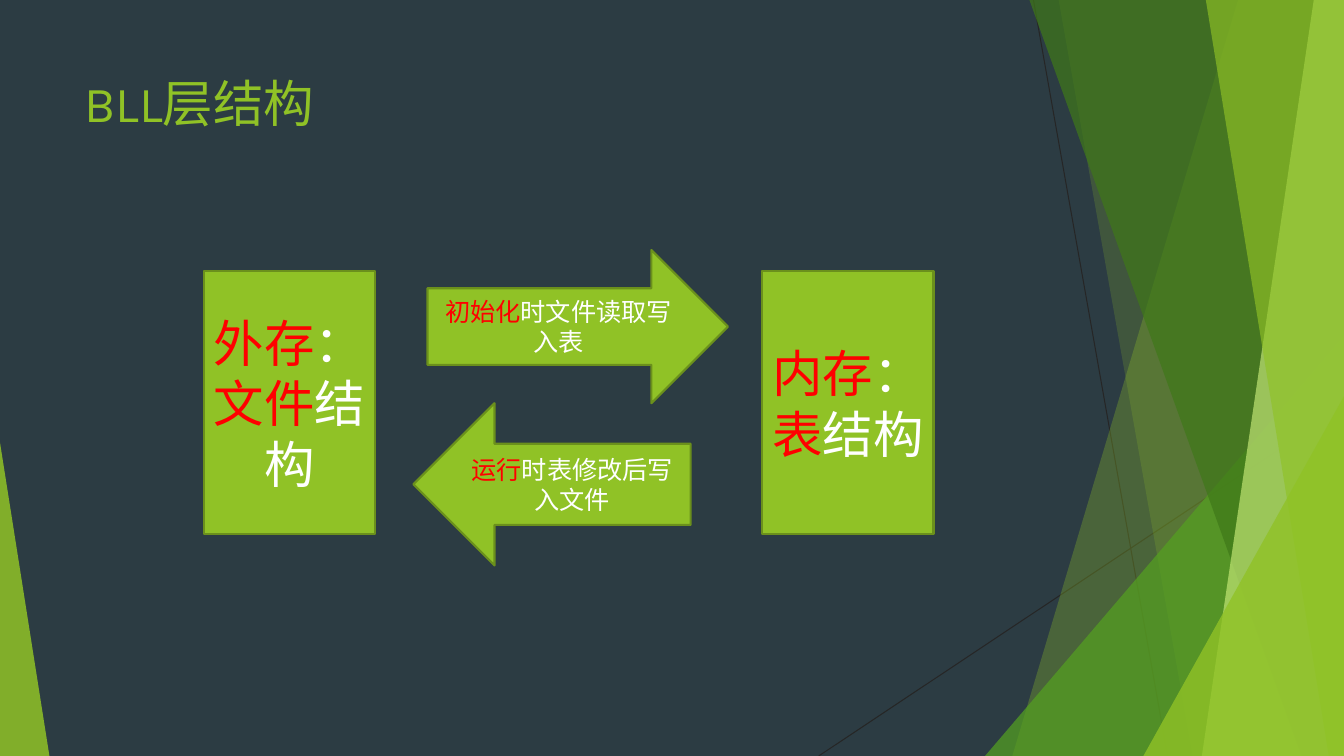
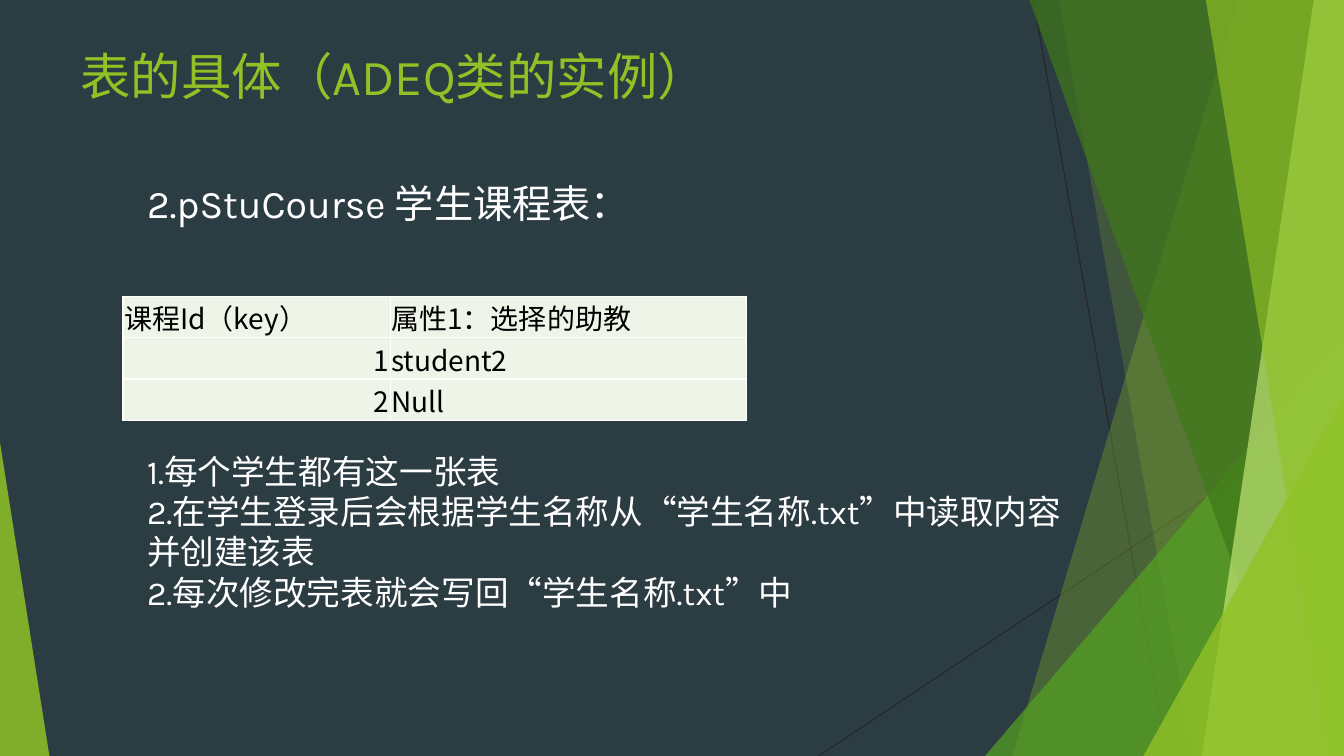
from lxml import etree
from pptx import Presentation
from pptx.dml.color import RGBColor
from pptx.enum.lang import MSO_LANGUAGE_ID as Lang
from pptx.enum.shapes import MSO_CONNECTOR, MSO_SHAPE as Shape
from pptx.enum.text import MSO_ANCHOR as Anchor, PP_ALIGN as Align
from pptx.oxml.ns import qn
from pptx.util import Inches, Pt

COLORS = {
    "background": "2C3C43", "hairline": "262626", "lime": "90C226",
    "green": "54A021", "dark": "3F7819", "pale": "C0E474",
    "edge": "6B901C", "red": "FF0000", "white": "FFFFFF",
    "black": "000000", "cell": "EEF4E8",
}
RGB = {name: RGBColor.from_string(value) for name, value in COLORS.items()}
LATIN, CJK = "Karla", "Noto Sans CJK SC"
WIDTH, HEIGHT = 13.33, 7.5

# Facets of the backdrop, back to front
# Bands run to the right edge: top x, bottom x, colour, opacity
# Triangles: left, top, width, apex, colour, opacity
HAIRLINES = [(10.25, 0, 11.58, HEIGHT), (WIDTH, 4.03, 8.12, HEIGHT)]
FACETS = [
    (12.28, 10.04, "lime", 30),
    (10.5, 11.83, "lime", 20),
    (9.77, 3.33, 3.56, 1, "green", 72),
    (10.21, 12.91, "dark", 70),
    (13.03, 11.92, "pale", 70),
    (11.96, 13.18, "lime", 65),
    (11.34, 3.93, 1.99, 1, "lime", 80),
    (0, 4.39, 0.49, 0, "lime", 85),
]


def write(frame, paragraphs, size, color="white", align=Align.LEFT, font=LATIN):
    """Each paragraph is a list of (text, colour) runs or a plain string."""
    frame.word_wrap = True
    for i, runs in enumerate(paragraphs):
        paragraph = frame.paragraphs[0] if i == 0 else frame.add_paragraph()
        paragraph.alignment = align
        paragraph.font.name = font
        paragraph.font.size = Pt(size)
        paragraph.font.color.rgb = RGB[color]
        for text, tint in [(runs, color)] if isinstance(runs, str) else runs:
            run = paragraph.add_run()
            run.text = text
            run.font.language_id = Lang.SIMPLIFIED_CHINESE
            if tint != color:
                run.font.color.rgb = RGB[tint]


def add_themed_slide(prs, title, left, top):
    slide = prs.slides.add_slide(prs.slide_layouts[6])
    slide.background.fill.solid()
    slide.background.fill.fore_color.rgb = RGB["background"]
    for ends in HAIRLINES:
        hairline = slide.shapes.add_connector(
            MSO_CONNECTOR.STRAIGHT, *[Inches(v) for v in ends])
        hairline.line.color.rgb = RGB["hairline"]
        hairline.line.width = Pt(0.75)
        etree.SubElement(hairline.element.spPr, qn("a:effectLst"))
    for *geometry, color, opacity in FACETS:
        if len(geometry) == 2:
            top_x, bottom_x = geometry
            outline = slide.shapes.build_freeform(Inches(top_x), 0)
            outline.add_line_segments([
                (Inches(x), Inches(y)) for x, y in
                [(WIDTH, 0), (WIDTH, HEIGHT), (bottom_x, HEIGHT)]])
            facet = outline.convert_to_shape()
        else:
            x, y, width, apex = geometry
            facet = slide.shapes.add_shape(
                Shape.ISOSCELES_TRIANGLE, Inches(x), Inches(y),
                Inches(width), Inches(HEIGHT - y))
            facet.adjustments[0] = apex
        facet.shadow.inherit = False
        facet.fill.solid()
        facet.fill.fore_color.rgb = RGB[color]
        facet.line.fill.background()
        tint = facet.element.spPr.find(".//" + qn("a:srgbClr"))
        etree.SubElement(tint, qn("a:alpha"), val=str(opacity * 1000))
    heading = slide.shapes.add_textbox(
        Inches(left), Inches(top), Inches(9.4), Inches(1.44))
    write(heading.text_frame, [title], 36, "lime")
    return slide


prs = Presentation()
prs.slide_width, prs.slide_height = Inches(WIDTH), Inches(HEIGHT)

# Slide 1: exchange between storage and memory
structure = add_themed_slide(prs, "BLL层结构", 0.74, 0.67)
STORES_AND_FLOWS = [
    (Shape.RECTANGLE, (2.02, 2.69, 1.7, 2.61), 36,
     [[("外存", "red"), ("：", "white")], [("文件", "red"), ("结构", "white")]]),
    (Shape.RECTANGLE, (7.56, 2.69, 1.7, 2.61), 36,
     [[("内存", "red"), ("：", "white")], [("表", "red"), ("结构", "white")]]),
    (Shape.RIGHT_ARROW, (4.24, 2.48, 2.98, 1.52), 18,
     [[("初始化", "red"), ("时文件读取写入表", "white")]]),
    (Shape.LEFT_ARROW, (4.1, 4, 2.75, 1.61), 18,
     [[("运行", "red"), ("时表修改后写入文件", "white")]]),
]
for kind, place, size, label in STORES_AND_FLOWS:
    node = structure.shapes.add_shape(kind, *[Inches(v) for v in place])
    node.shadow.inherit = False
    node.fill.solid()
    node.fill.fore_color.rgb = RGB["lime"]
    node.line.color.rgb = RGB["edge"]
    node.line.width = Pt(1.5)
    node.text_frame.vertical_anchor = Anchor.MIDDLE
    write(node.text_frame, label, size, align=Align.CENTER)

# Slide 2: the student course table
courses = add_themed_slide(prs, "表的具体（ADEQ类的实例）", 0.7, 0.4)
COURSE_ROWS = [("课程Id（key）", "属性1：选择的助教"), ("1", "student2"), ("2", "Null")]
course_table = courses.shapes.add_table(
    3, 2, Inches(1.22), Inches(2.94), Inches(6.18), Inches(1.23)).table
course_table.first_row = course_table.horz_banding = False
for column, width in zip(course_table.columns, (2.65, 3.53)):
    column.width = Inches(width)
for r, values in enumerate(COURSE_ROWS):
    for c, value in enumerate(values):
        cell = course_table.cell(r, c)
        cell.margin_left = cell.margin_top = cell.margin_right = Inches(0.01)
        cell.margin_bottom = 0
        cell.vertical_anchor = Anchor.MIDDLE
        write(cell.text_frame, [value], 20, "black",
              Align.RIGHT if value.isdigit() else Align.LEFT, CJK)
        # Thin white borders go before the fill
        properties = cell._tc.get_or_add_tcPr()
        for side in ("a:lnL", "a:lnR", "a:lnT", "a:lnB"):
            border = etree.SubElement(properties, qn(side), w=str(Pt(1)))
            paint = etree.SubElement(border, qn("a:solidFill"))
            etree.SubElement(paint, qn("a:srgbClr"), val=COLORS["white"])
        cell.fill.solid()
        cell.fill.fore_color.rgb = RGB["cell"]

# Caption above the table and notes below it
COURSE_TEXTS = [
    ((1.36, 1.73, 4.99, 0.57), 28, ["2.pStuCourse 学生课程表："]),
    ((1.36, 4.42, 9.59, 1.72), 24, [
        "1.每个学生都有这一张表",
        "2.在学生登录后会根据学生名称从“学生名称.txt”中读取内容并创建该表",
        "2.每次修改完表就会写回“学生名称.txt”中",
    ]),
]
for place, size, lines in COURSE_TEXTS:
    passage = courses.shapes.add_textbox(*[Inches(v) for v in place])
    write(passage.text_frame, lines, size)

prs.save("out.pptx")
